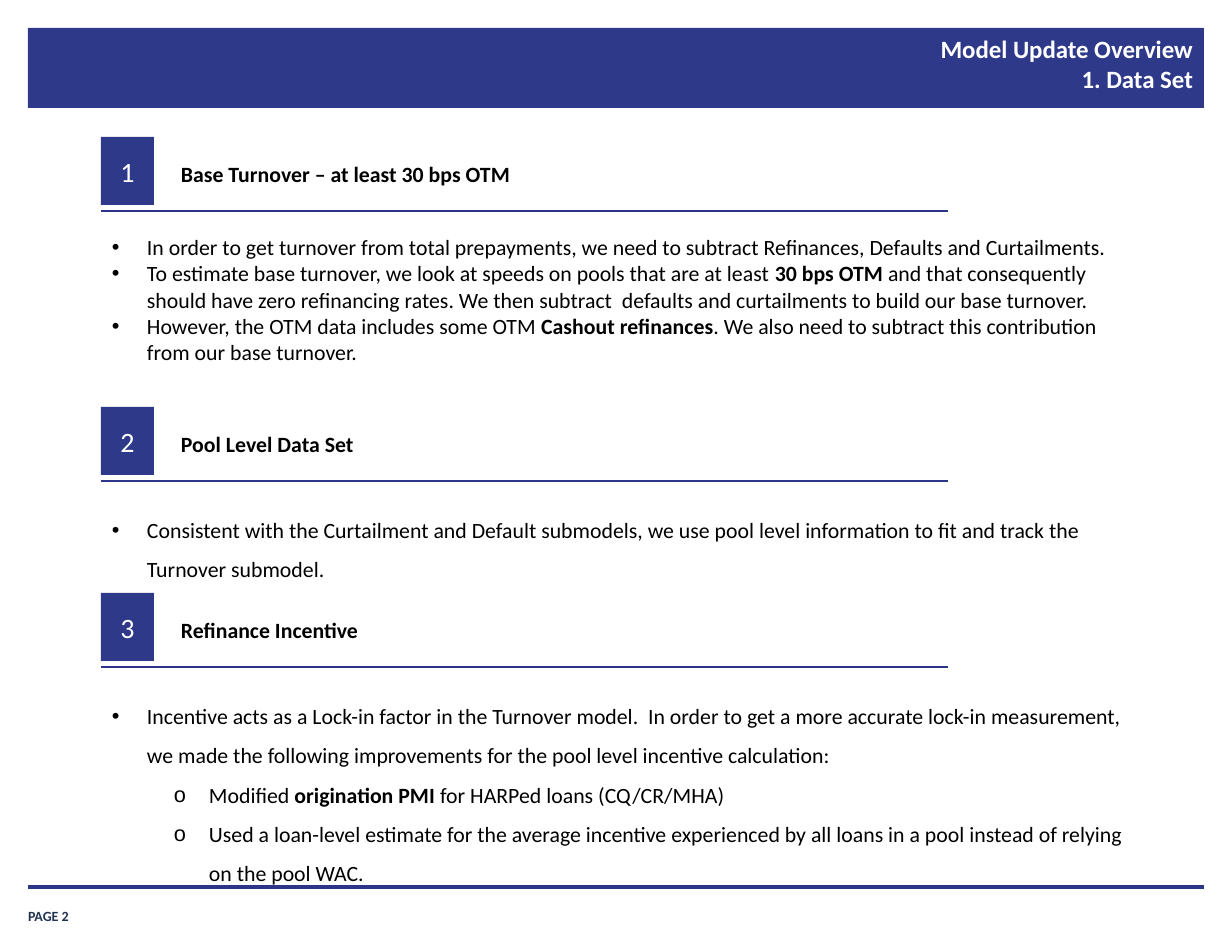
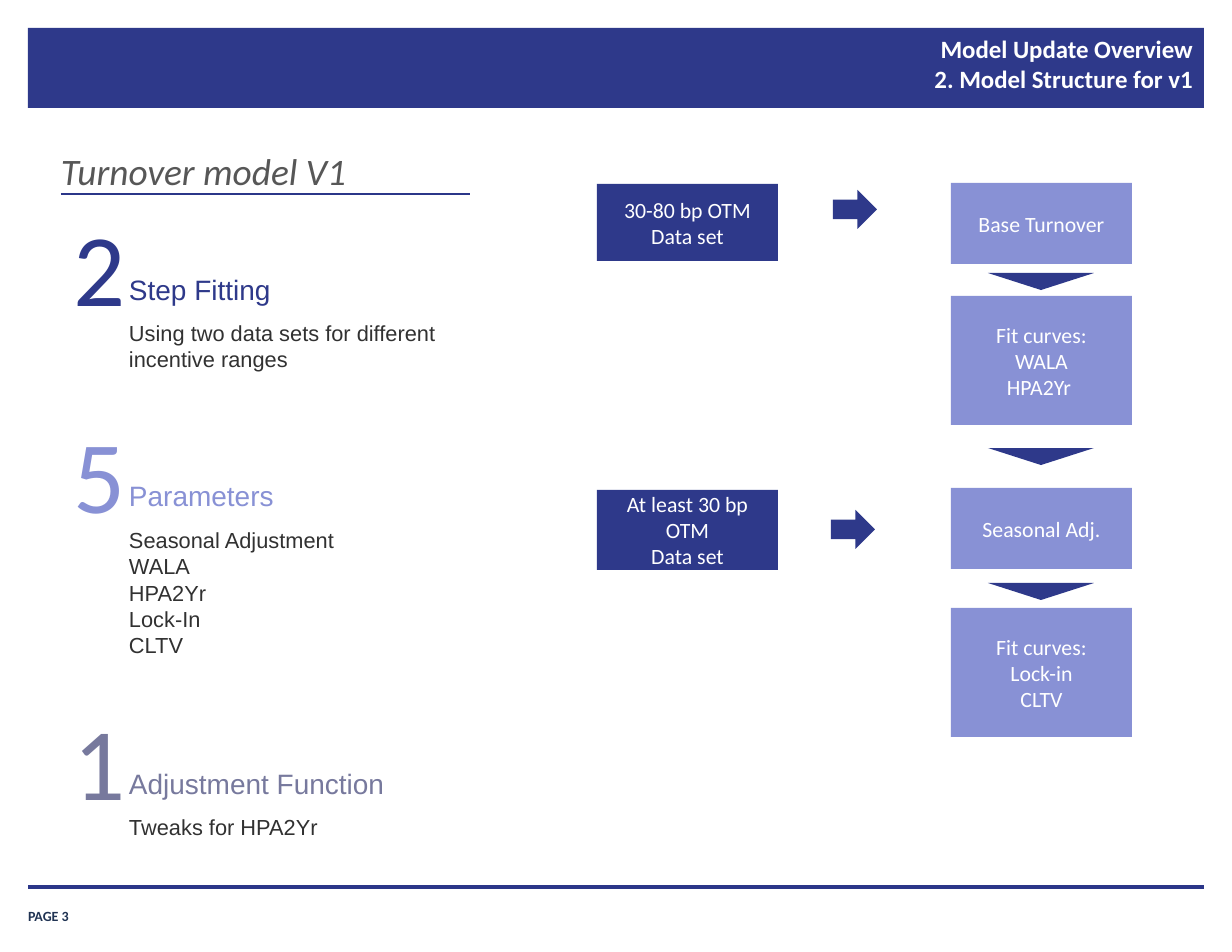
from lxml.etree import SubElement
from pptx import Presentation
from pptx.dml.color import RGBColor
from pptx.enum.shapes import MSO_CONNECTOR as Link, MSO_SHAPE as Geo
from pptx.enum.text import MSO_ANCHOR as Anchor, MSO_AUTO_SIZE as Fit, PP_ALIGN as Align
from pptx.oxml.ns import qn
from pptx.util import Emu, Pt

NAVY = RGBColor(0x2E, 0x39, 0x8A)
RULE = RGBColor(0x2B, 0x36, 0x89)
LILAC = RGBColor(0x88, 0x91, 0xD5)
SLATE = RGBColor(0x77, 0x79, 0x9D)
INK = RGBColor(0x20, 0x33, 0x53)
GREY = RGBColor(0x57, 0x57, 0x57)
DARK = RGBColor(0x31, 0x31, 0x31)
BLACK = RGBColor(0, 0, 0)
WHITE = RGBColor(255, 255, 255)

PAGE = {"size": Pt(9), "name": "Calibri", "bold": True}
TITLE = {"size": Pt(16), "name": "Calibri", "bold": True}
HEAD = {"size": Pt(14), "name": "Calibri", "bold": True}
BODY = {"size": Pt(14), "name": "Calibri"}
BADGE = {"size": Pt(18), "name": "Calibri"}
TOPIC = {"size": Pt(24), "name": "Calibri", "italic": True}
DIGIT = {"size": Pt(66), "name": "Calibri"}
LABEL = {"size": Pt(18), "name": "Arial"}
NOTE = {"size": Pt(14), "name": "Arial"}


def px(n):
    return Emu(round(n * 914400 / 112))


class Deck:
    def __init__(self):
        self.prs = Presentation()
        self.prs.slide_width, self.prs.slide_height = px(1232), px(952)

    def page(self, num, *lines):
        self.slide = self.prs.slides.add_slide(self.prs.slide_layouts[5])
        self.shapes = self.slide.shapes
        title = self.shapes.title
        band = self.shape(Geo.RECTANGLE, 28, 28, 1176, 80, NAVY)
        title.element.addprevious(band.element)
        self.place(title, 372, 27, 833, 83)
        self.frame(title.text_frame, inset=(12, 7))
        para = title.text_frame.paragraphs[0]
        para.alignment = Align.RIGHT
        for i, line in enumerate(lines):
            if i:
                para.add_line_break()
            self.runs(para, line, TITLE, WHITE)
        self.text(28, 898, 102, 26, [f"PAGE {num}"], PAGE, INK, inset=(0, 0), anchor=Anchor.BOTTOM)
        self.line(28, 1204, 887, 2)

    def place(self, item, *box):
        for key, val in zip(("left", "top", "width", "height"), box):
            setattr(item, key, px(val))

    def frame(self, frame, inset=(11, 6), anchor=Anchor.TOP):
        side, edge = map(px, inset)
        form = {"word_wrap": True, "auto_size": Fit.NONE, "vertical_anchor": anchor,
                "margin_left": side, "margin_right": side, "margin_top": edge, "margin_bottom": edge}
        for key, val in form.items():
            setattr(frame, key, val)

    def runs(self, para, text, form, color):
        for i, part in enumerate(text.split("*")):
            if part:
                run = para.add_run()
                run.text = part
                for key, val in form.items():
                    setattr(run.font, key, val)
                if i % 2:
                    run.font.bold = True
                run.font.color.rgb = color

    def fill(self, frame, lines, form, color, align=Align.LEFT):
        for i, line in enumerate(lines):
            para = frame.add_paragraph() if i else frame.paragraphs[0]
            para.alignment = align
            self.runs(para, line, form, color)

    def text(self, x, y, w, h, lines, form, color, align=Align.LEFT, **opts):
        box = self.shapes.add_textbox(px(x), px(y), px(w), px(h))
        self.frame(box.text_frame, **opts)
        self.fill(box.text_frame, lines, form, color, align)
        return box

    def list(self, x, y, w, h, items, gap):
        box = self.text(x, y, w, h, [line for _, line in items], BODY, BLACK)
        for para, (level, _) in zip(box.text_frame.paragraphs, items):
            para.level, para.line_spacing = level, gap
            props = para._p.get_or_add_pPr()
            props.set("marL", str(px((35, 97)[level])))
            props.set("indent", str(px(-35)))
            SubElement(props, qn("a:buFont"), typeface="Arial")
            SubElement(props, qn("a:buChar"), char="•o"[level])

    def shape(self, kind, x, y, w, h, color, lines=(), form=BODY, turn=0):
        item = self.shapes.add_shape(kind, px(x), px(y), px(w), px(h))
        item.shadow.inherit = False
        item.fill.solid()
        item.fill.fore_color.rgb = color
        item.line.fill.background()
        item.rotation = turn
        if lines:
            self.frame(item.text_frame, anchor=Anchor.MIDDLE)
            self.fill(item.text_frame, lines, form, WHITE, Align.CENTER)
        return item

    def line(self, start, end, y, width):
        item = self.shapes.add_connector(Link.STRAIGHT, px(start), px(y), px(end), px(y))
        item.line.color.rgb = RULE
        item.line.width = Pt(width)
        SubElement(item.element.spPr, qn("a:effectLst"))

    def section(self, num, y, head, high, gap, items):
        self.shape(Geo.RECTANGLE, 101, y, 53, 68, NAVY, [str(num)], BADGE)
        self.line(101, 948, y + 74, 1)
        self.text(170, y + 18, 498, 38, [head], HEAD, BLACK)
        self.list(101, y + 91, 1047, high, items, gap)

    def fact(self, digit, y, color, head, high, lines):
        self.text(73, y, 45, 124, [digit], DIGIT, color, Align.CENTER, inset=(0, 0))
        self.text(118, y + 62, 332, 45, [head], LABEL, color)
        self.text(118, y + 110, 332, high, lines, NOTE, DARK)


def main():
    deck = Deck()
    deck.page(2, "Model Update Overview", "1. Data Set")
    parts = [
        (137, "Base Turnover – at least 30 bps OTM", 143, 1.0, [
            (0, "In order to get turnover from total prepayments, we need to subtract Refinances, Defaults and Curtailments."),
            (0, "To estimate base turnover, we look at speeds on pools that are at least *30 bps OTM *and that consequently "
                "should have zero refinancing rates. We then subtract  defaults and curtailments to build our base turnover."),
            (0, "However, the OTM data includes some OTM *Cashout refinances*. We also need to subtract this contribution "
                "from our base turnover."),
        ]),
        (407, "Pool Level Data Set", 91, 1.5, [
            (0, "Consistent with the Curtailment and Default submodels, we use pool level information to fit and track the "
                "Turnover submodel."),
        ]),
        (593, "Refinance Incentive", 209, 1.5, [
            (0, "Incentive acts as a Lock-in factor in the Turnover model.  In order to get a more accurate lock-in "
                "measurement, we made the following improvements for the pool level incentive calculation:"),
            (1, "Modified *origination PMI *for HARPed loans (CQ/CR/MHA)"),
            (1, "Used a loan-level estimate for the average incentive experienced by all loans in a pool instead of relying "
                "on the pool WAC."),
        ]),
    ]
    for num, part in enumerate(parts, 1):
        deck.section(num, *part)

    deck.page(3, "Model Update Overview", "2. Model Structure for v1")
    steps = [
        (183, 81, ["Base Turnover"]),
        (296, 129, ["Fit curves:", "WALA", "HPA2Yr "]),
        (488, 81, ["Seasonal Adj."]),
        (608, 129, ["Fit curves:", "Lock-in", "CLTV"]),
    ]
    for y, high, lines in steps:
        deck.shape(Geo.RECTANGLE, 951, y, 181, high, LILAC, lines)
    inputs = [
        (184, 77, ["30-80 bp OTM", "Data set"], 833, 190),
        (490, 80, ["At least 30 bp OTM", "Data set"], 831, 510),
    ]
    for y, high, lines, tip, top in inputs:
        deck.shape(Geo.RECTANGLE, 597, y, 181, high, NAVY, lines)
        deck.shape(Geo.RIGHT_ARROW, tip, top, 44, 39, NAVY)
    for y in (273, 448, 583):
        deck.shape(Geo.ISOSCELES_TRIANGLE, 988, y, 106, 17, NAVY, turn=180)

    deck.text(61, 148, 623, 45, ["Turnover model V1"], TOPIC, GREY, inset=(0, 0))
    deck.line(61, 470, 194, 0.75)
    facts = [
        ("2", 204, NAVY, "Step Fitting", 64, ["Using two data sets for different incentive ranges"]),
        ("5", 411, LILAC, "Parameters", 143, ["Seasonal Adjustment", "WALA", "HPA2Yr", "Lock-In", "CLTV"]),
        ("1", 698, SLATE, "Adjustment Function", 38, ["Tweaks for HPA2Yr"]),
    ]
    for fact in facts:
        deck.fact(*fact)
    deck.prs.save("out.pptx")


if __name__ == "__main__":
    main()
